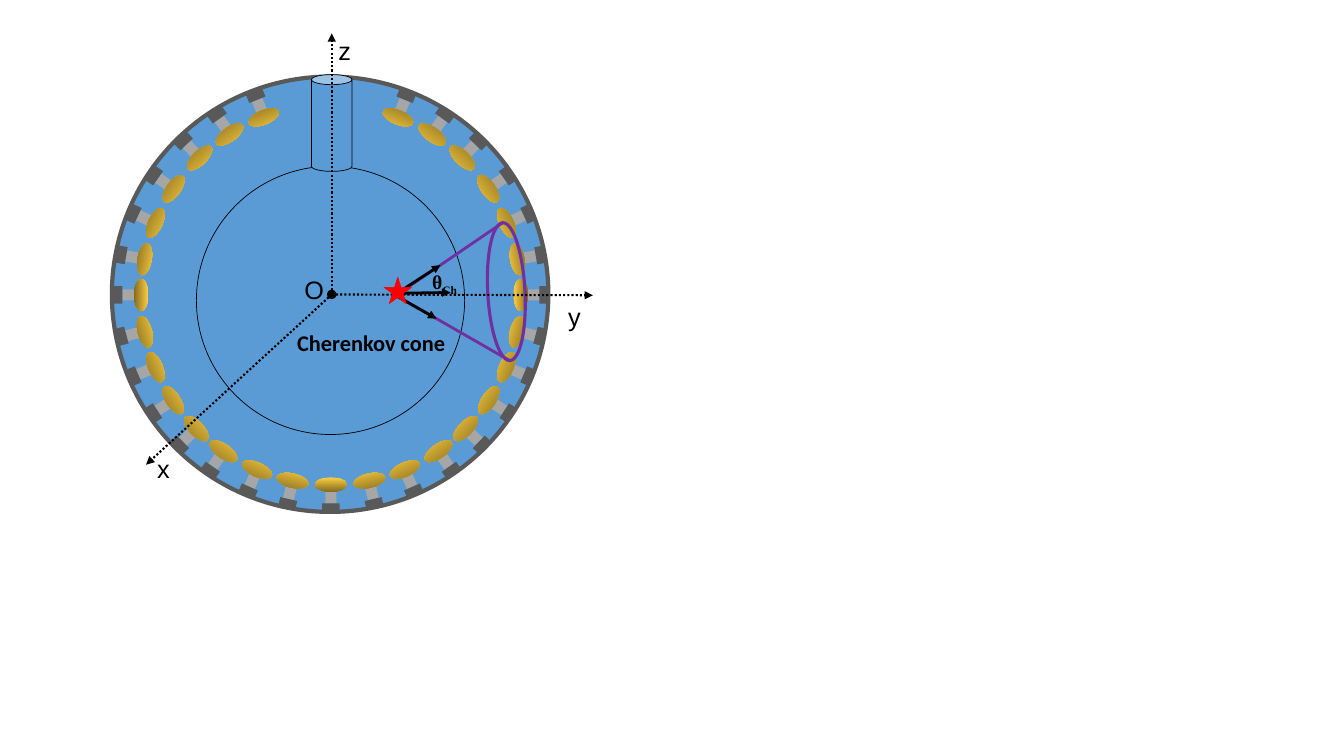
"""Draw a spherical detector lined with photomultipliers and a Cherenkov cone inside it."""
import math
from typing import NamedTuple, Optional

import pptx
import pptx.dml.color
import pptx.enum.dml
import pptx.enum.shapes
import pptx.oxml
import pptx.oxml.ns
import pptx.slide
import pptx.text.text
import pptx.util
from pptx.util import Cm

RGBColor = pptx.dml.color.RGBColor
Kind = pptx.enum.shapes.MSO_SHAPE

WATER = RGBColor(0x5B, 0x9B, 0xD5)
STEEL = RGBColor(0x59, 0x59, 0x59)
STEM_GREY = RGBColor(0xA6, 0xA6, 0xA6)
GOLD = RGBColor(0xFE, 0xCF, 0x40)
BRONZE = RGBColor(0x84, 0x6C, 0x21)
PURPLE = RGBColor(0x70, 0x30, 0xA0)
RED = RGBColor(0xFF, 0x00, 0x00)
BLACK = RGBColor(0x00, 0x00, 0x00)

CENTRE_X, CENTRE_Y = 8.34, 7.43


class Figure(NamedTuple):
    kind: Kind
    left: float
    top: float
    width: float
    height: float
    fill: Optional[RGBColor] = None
    line: Optional[RGBColor] = None
    weight: float = 0.5
    rotation: float = 0
    fade: Optional[RGBColor] = None


class Ray(NamedTuple):
    x1: float
    y1: float
    x2: float
    y2: float
    color: RGBColor = BLACK
    weight: float = 2
    arrow: bool = True
    dotted: bool = False


class TubePart(NamedTuple):
    kind: Kind
    radius: float
    width: float
    height: float
    turn: float
    fill: RGBColor
    fade: Optional[RGBColor] = None


class Tube(NamedTuple):
    bearing: float
    tilt: float


class Label(NamedTuple):
    text: str
    left: float
    top: float
    width: float
    height: float
    size: float
    font: str
    bold: bool = False
    inset: float = 0.25
    wrap: bool = False


TUBE_PARTS = (
    TubePart(Kind.RECTANGLE, 5.05, 0.28, 0.41, 0, STEM_GREY),
    TubePart(Kind.OVAL, 4.78, 0.81, 0.36, 180, GOLD, BRONZE),
    TubePart(Kind.RECTANGLE, 5.37, 0.44, 0.23, 0, STEEL),
)

BOTTOM_TUBE = Tube(0, 0)
SIDE_TUBES = (
    Tube(11.7, 13), Tube(22.9, 24), Tube(34.5, 35), Tube(45.2, 46),
    Tube(56.3, 57), Tube(67.6, 67), Tube(78.8, 75), Tube(90, 90),
    Tube(100.8, 100), Tube(112.3, 115), Tube(124, 125), Tube(136.2, 136),
    Tube(147.7, 144), Tube(159.3, 158),
)

SPHERE = Figure(Kind.OVAL, 2.82, 1.93, 11, 10.97, WATER, STEEL, 3)
VESSEL = Figure(Kind.OVAL, 4.95, 4.19, 6.76, 6.76, WATER, BLACK)
CHIMNEY = Figure(Kind.CAN, 7.85, 1.88, 1.02, 2.44, WATER, BLACK)
CONE_RIM = Figure(Kind.OVAL, 12.29, 5.61, 0.94, 3.48, None, PURPLE, 2.25, 357)
VERTEX = Figure(Kind.STAR_5_POINT, 9.68, 6.99, 0.69, 0.66, RED, RED)
ORIGIN = Figure(Kind.OVAL, 8.26, 7.32, 0.2, 0.2, BLACK, BLACK, 1)

RAYS = (
    Ray(10.01, 7.39, 11.35, 7.37),
    Ray(10.06, 7.49, 12.85, 9.09, PURPLE, arrow=False),
    Ray(10.16, 7.32, 12.67, 5.61, PURPLE, arrow=False),
    Ray(10.16, 7.29, 11.1, 6.68),
    Ray(10.01, 7.47, 11, 8.03),
)
AXES = tuple(
    Ray(8.36, 7.42, x, y, weight=1.5, dotted=True)
    for x, y in ((8.36, 0.84), (14.94, 7.44), (3.68, 11.71))
)

CONE_LABEL = Label("Cherenkov cone", 7.24, 8.18, 4.47, 0.94, 16, "Calibri", True)
ANGLE_LABEL = Label("θ", 10.64, 6.68, 1.3, 0.86, 14, "Times New Roman", True)
AXIS_LABELS = tuple(
    Label(letter, left, top, 0.43, 1.02, 18, "Arial", inset=0.15, wrap=True)
    for letter, left, top in (
        ("O", 7.52, 6.78), ("x", 3.81, 11.3), ("y", 14.17, 7.47), ("z", 8.38, 0.76))
)


def draw_figure(slide: pptx.slide.Slide, figure: Figure) -> None:
    shape = slide.shapes.add_shape(
        figure.kind, Cm(figure.left), Cm(figure.top), Cm(figure.width), Cm(figure.height))
    shape.shadow.inherit = False
    shape.rotation = figure.rotation
    if figure.fill is None:
        shape.fill.background()
    elif figure.fade is None:
        shape.fill.solid()
        shape.fill.fore_color.rgb = figure.fill
    else:
        shape.fill.gradient()
        shape.fill.gradient_angle = 90
        for stop, color, position in zip(
                shape.fill.gradient_stops, (figure.fill, figure.fade), (0, 1)):
            stop.color.rgb = color
            stop.position = position
    if figure.line is None:
        shape.line.fill.background()
    else:
        shape.line.color.rgb = figure.line
        shape.line.width = pptx.util.Pt(figure.weight)


def draw_tube(slide: pptx.slide.Slide, tube: Tube, side: int) -> None:
    bearing = math.radians(tube.bearing)
    for part in TUBE_PARTS:
        x = CENTRE_X + side * part.radius * math.sin(bearing)
        y = CENTRE_Y + part.radius * math.cos(bearing)
        draw_figure(slide, Figure(
            part.kind, x - part.width / 2, y - part.height / 2, part.width, part.height,
            part.fill, rotation=(part.turn - side * tube.tilt) % 360, fade=part.fade))


def draw_ray(slide: pptx.slide.Slide, ray: Ray) -> None:
    connector = slide.shapes.add_connector(
        pptx.enum.shapes.MSO_CONNECTOR.STRAIGHT,
        Cm(ray.x1), Cm(ray.y1), Cm(ray.x2), Cm(ray.y2))
    connector.line.color.rgb = ray.color
    connector.line.width = pptx.util.Pt(ray.weight)
    if ray.dotted:
        connector.line.dash_style = pptx.enum.dml.MSO_LINE.ROUND_DOT
    properties = connector._element.spPr
    if ray.arrow:
        tail = pptx.oxml.parse_xml(
            f'<a:tailEnd {pptx.oxml.ns.nsdecls("a")} type="triangle"/>')
        properties.find(pptx.oxml.ns.qn("a:ln")).append(tail)
    properties.append(pptx.oxml.parse_xml(f'<a:effectLst {pptx.oxml.ns.nsdecls("a")}/>'))


def draw_label(slide: pptx.slide.Slide, label: Label) -> pptx.text.text._Paragraph:
    frame = slide.shapes.add_textbox(
        Cm(label.left), Cm(label.top), Cm(label.width), Cm(label.height)).text_frame
    frame.word_wrap = label.wrap
    frame.margin_left = Cm(label.inset)
    frame.margin_right = Cm(0)
    frame.text = label.text
    paragraph = frame.paragraphs[0]
    format_run(paragraph.runs[0], label)
    return paragraph


def format_run(run: pptx.text.text._Run, label: Label) -> None:
    run.font.size = pptx.util.Pt(label.size)
    run.font.name = label.font
    run.font.bold = label.bold
    run.font.color.rgb = BLACK


def main() -> None:
    deck = pptx.Presentation()
    deck.slide_width, deck.slide_height = Cm(33.87), Cm(19.05)
    slide = deck.slides.add_slide(deck.slide_layouts[6])
    draw_figure(slide, SPHERE)
    draw_tube(slide, BOTTOM_TUBE, 1)
    for side in (-1, 1):
        for tube in SIDE_TUBES:
            draw_tube(slide, tube, side)
    for figure in (VESSEL, CHIMNEY, CONE_RIM):
        draw_figure(slide, figure)
    for ray in RAYS + AXES:
        draw_ray(slide, ray)
    draw_figure(slide, VERTEX)
    for label in (CONE_LABEL,) + AXIS_LABELS:
        draw_label(slide, label)
    subscript = draw_label(slide, ANGLE_LABEL).add_run()
    subscript.text = "Ch"
    format_run(subscript, ANGLE_LABEL)
    subscript._r.get_or_add_rPr().set("baseline", "-25000")
    draw_figure(slide, ORIGIN)
    deck.save("out.pptx")


if __name__ == "__main__":
    main()
